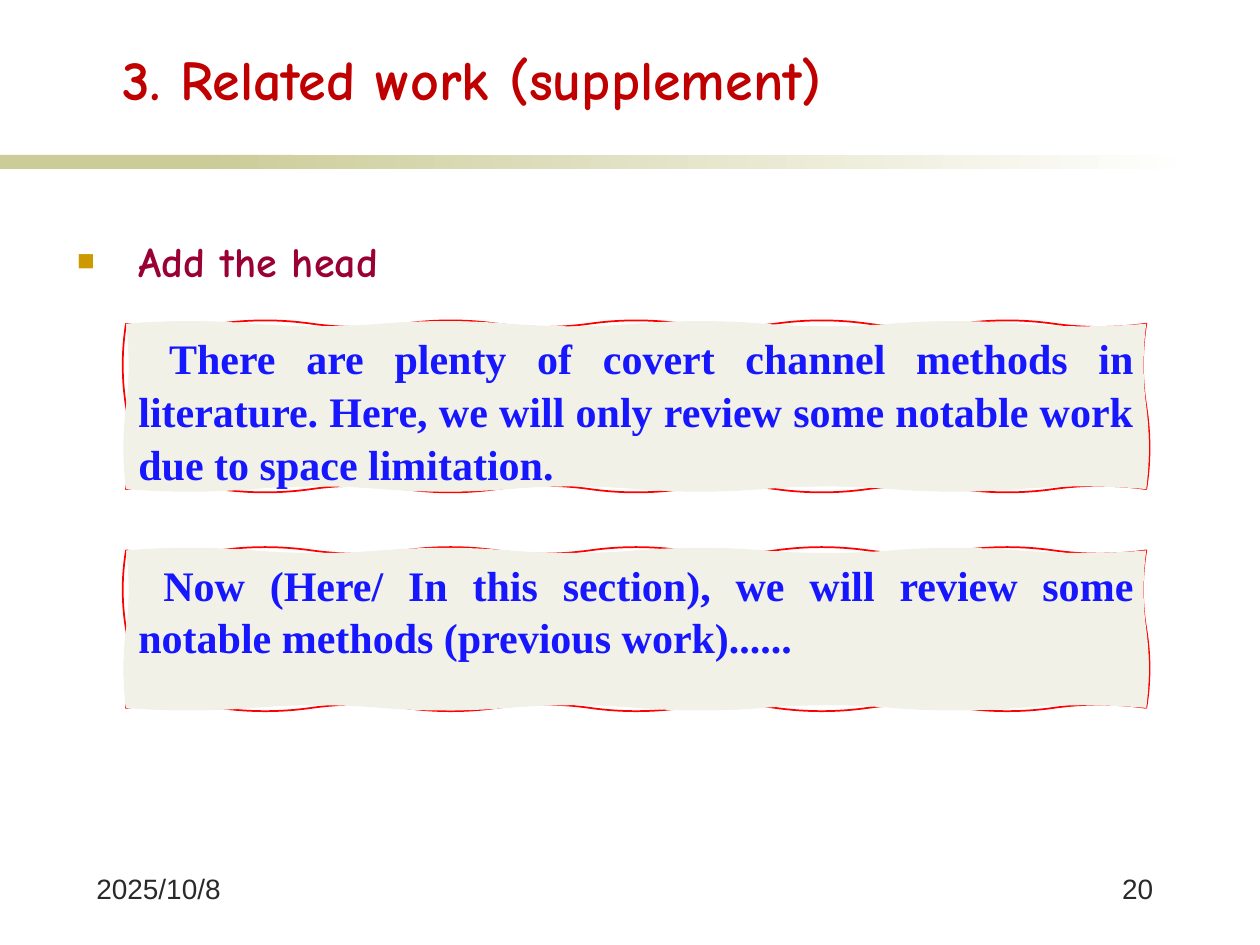
from lxml.etree import Element, SubElement
from pptx import Presentation
from pptx.dml.color import RGBColor
from pptx.enum.shapes import MSO_SHAPE
from pptx.enum.text import MSO_ANCHOR, PP_ALIGN
from pptx.oxml.ns import qn
from pptx.util import Pt

COLORS = {
    "olive": "CCCC99", "white": "FFFFFF", "title": "C00000", "bullet": "CC9900",
    "heading": "990033", "footer": "292929", "paper": "F1F1E8", "red": "FF0000",
    "blue": "1616FF",
}


def rgb(name):
    """Return the named colour."""
    return RGBColor.from_string(COLORS[name])


def add_run(p, text, font, size, color, bold=False):
    """Add one formatted run to a paragraph."""
    r = p.add_run()
    r.text = text
    r.font.name = font
    r.font.size = Pt(size)
    r.font.bold = bold
    r.font.color.rgb = rgb(color)


def add_text(s, box, text, font, size, color, bold=False,
             align=PP_ALIGN.LEFT, anchor=MSO_ANCHOR.TOP):
    """Add a wrapped one-paragraph text box."""
    sp = s.shapes.add_textbox(*map(Pt, box))
    tf = sp.text_frame
    tf.word_wrap = True
    tf.vertical_anchor = anchor
    p = tf.paragraphs[0]
    p.alignment = align
    add_run(p, text, font, size, color, bold)
    return sp


def add_bar(s, left, width, end_color=None):
    """Add a plain or fading piece of the title rule."""
    sp = s.shapes.add_shape(MSO_SHAPE.RECTANGLE, Pt(left), Pt(88.5), Pt(width), Pt(8))
    sp.shadow.inherit = False
    sp.line.fill.background()
    if end_color is None:
        sp.fill.solid()
        sp.fill.fore_color.rgb = rgb("olive")
        return
    sp.fill.gradient()
    sp.fill.gradient_angle = 0
    for stop, color in zip(sp.fill.gradient_stops, ("olive", end_color)):
        stop.color.rgb = rgb(color)


def add_bullet_body(s, box, text):
    """Add the white body area with its square bullet."""
    sp = add_text(s, box, text, "Comic Neue", 24, "heading", True)
    sp.fill.solid()
    sp.fill.fore_color.rgb = rgb("white")
    p = sp.text_frame.paragraphs[0]
    p.line_spacing = 1.5
    p.space_before = Pt(6)
    pPr = p._p.get_or_add_pPr()
    pPr.set("marL", str(Pt(35)))
    pPr.set("indent", str(-Pt(35)))
    color = SubElement(pPr, qn("a:buClr"))
    SubElement(color, qn("a:srgbClr"), val=COLORS["bullet"])
    SubElement(pPr, qn("a:buSzPct"), val="70000")
    SubElement(pPr, qn("a:buFont"), typeface="Arial")
    SubElement(pPr, qn("a:buChar"), char="■")


def bend_edges(sp, wave):
    """Turn the straight segments of a freeform into alternating waves."""
    path = next(sp._element.iter(qn("a:path")))
    x0, y0 = (int(v) for v in path[0][0].attrib.values())
    for i, line in enumerate(path.findall(qn("a:lnTo"))):
        x1, y1 = int(line[0].get("x")), int(line[0].get("y"))
        shift = Pt(wave) * (-1) ** i
        dx, dy = (0, shift) if y0 == y1 else (shift, 0)
        curve = Element(qn("a:cubicBezTo"))
        for t in (1 / 3, 2 / 3):
            SubElement(curve, qn("a:pt"), x=str(round(x0 + t * (x1 - x0) + dx)),
                       y=str(round(y0 + t * (y1 - y0) + dy)))
        SubElement(curve, qn("a:pt"), x=str(x1), y=str(y1))
        path.replace(line, curve)
        x0, y0 = x1, y1


def add_wavy_rect(s, left, top, width, height, pieces, wave):
    """Add a rectangle with waved edges, its long sides cut into pieces."""
    right, bottom = left + width, top + height
    xs = [left + width * i / pieces for i in range(pieces + 1)]
    middle = top + height / 2
    points = [(x, top) for x in xs] + [(right, middle)]
    points += [(x, bottom) for x in reversed(xs)] + [(left, middle), (left, top)]
    points = [(Pt(x), Pt(y)) for x, y in points]
    builder = s.shapes.build_freeform(*points[0])
    builder.add_line_segments(points[1:], close=True)
    sp = builder.convert_to_shape()
    sp.shadow.inherit = False
    bend_edges(sp, wave)
    return sp


def add_note(s, top, height, text):
    """Add a paper note over a loosely matching red outline."""
    box = (72, top, 583, height)
    outline = add_wavy_rect(s, *box, pieces=11, wave=2.5)
    outline.fill.background()
    outline.line.color.rgb = rgb("red")
    outline.line.width = Pt(1)
    sp = add_wavy_rect(s, *box, pieces=8, wave=-2)
    sp.fill.solid()
    sp.fill.fore_color.rgb = rgb("paper")
    sp.line.fill.background()
    tf = sp.text_frame
    tf.word_wrap = True
    tf.vertical_anchor = MSO_ANCHOR.TOP
    p = tf.paragraphs[0]
    p.alignment = PP_ALIGN.JUSTIFY
    p.line_spacing = 1.05
    add_run(p, " ", "Times New Roman", 24, "red", True)
    add_run(p, text, "Times New Roman", 24, "blue", True)


def main():
    """Build and save the related work slide."""
    prs = Presentation()
    prs.slide_width, prs.slide_height = Pt(720), Pt(540)
    s = prs.slides.add_slide(prs.slide_layouts[6])
    add_bar(s, 0, 168)
    add_bar(s, 114, 570, "white")
    add_text(s, (0, 22.5, 551.5, 45), "3. Related work (supplement) ", "Comic Neue",
             32, "title", True, PP_ALIGN.CENTER, MSO_ANCHOR.BOTTOM)
    add_bullet_body(s, (37, 116.5, 641, 345.5), "Add the head")
    add_text(s, (48, 494.5, 101.5, 36), "2025/10/8", "Arial", 16, "footer")
    add_text(s, (592.5, 494.5, 73.5, 36), "20", "Arial", 16, "footer",
             align=PP_ALIGN.RIGHT)
    add_note(s, 185, 94.5, "There are plenty of covert channel methods in literature. "
             "Here, we will only review some notable work due to space limitation. ")
    add_note(s, 314.5, 90, "Now (Here/ In this section), we will review some notable "
             "methods (previous work)......")
    prs.save("out.pptx")


if __name__ == "__main__":
    main()
